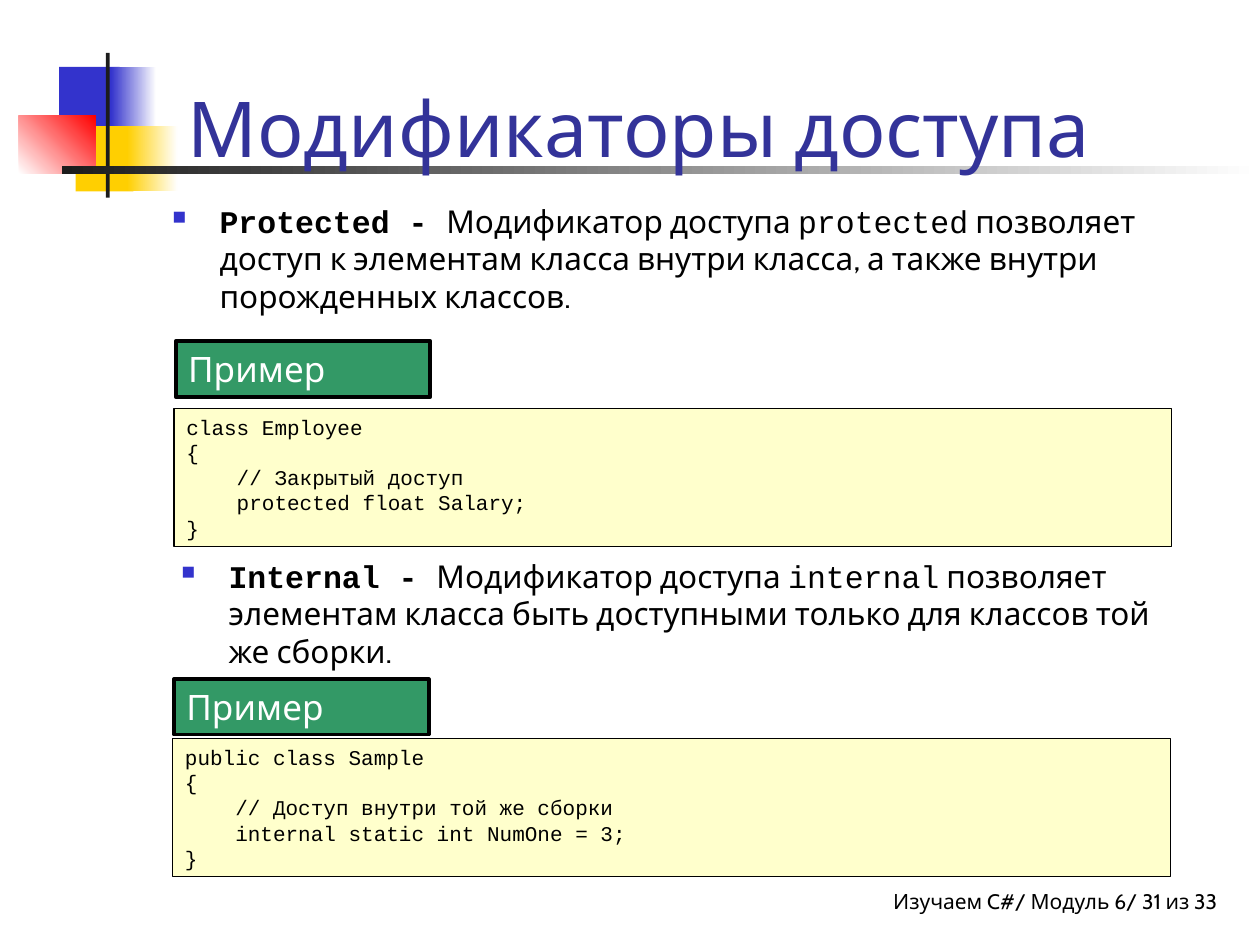
from dataclasses import dataclass

import lxml.etree
import pptx
import pptx.dml.color
import pptx.enum.shapes
import pptx.enum.text
import pptx.oxml.ns
import pptx.util

Pt = pptx.util.Pt
ALIGN = pptx.enum.text.PP_ALIGN
ANCHOR = pptx.enum.text.MSO_ANCHOR


@dataclass(frozen=True)
class Theme:
    blue: str = "3333CC"
    yellow: str = "FFCF01"
    red: str = "FF0000"
    dark: str = "1C1C1C"
    white: str = "FFFFFF"
    black: str = "000000"
    title: str = "333399"
    label_fill: str = "339966"
    code_fill: str = "FFFFCC"
    sans: str = "Cabin"
    mono: str = "Courier New"
    title_size: float = 44
    label_size: float = 20
    body_size: float = 18
    small_size: float = 12


THEME = Theme()


def rgb(color):
    return pptx.dml.color.RGBColor.from_string(color)


def style_font(font, size, color, name=THEME.sans, bold=False):
    values = {"size": Pt(size), "name": name, "bold": bold}
    for attribute, value in values.items():
        setattr(font, attribute, value)
    font.color.rgb = rgb(color)


def style_frame(frame, anchor=ANCHOR.TOP, right=7.2):
    values = {
        "word_wrap": True,
        "vertical_anchor": anchor,
        "margin_left": Pt(7.2),
        "margin_right": Pt(right),
        "margin_top": Pt(3.6),
        "margin_bottom": Pt(3.6),
    }
    for attribute, value in values.items():
        setattr(frame, attribute, value)


def write_lines(frame, lines, align=ALIGN.LEFT, **font):
    for index, line in enumerate(lines):
        paragraph = frame.paragraphs[0] if index == 0 else frame.add_paragraph()
        paragraph.alignment = align
        run = paragraph.add_run()
        run.text = line
        style_font(run.font, **font)


def add_rectangle(slide, box, colors, angle=0):
    """Draw a borderless rectangle: one colour is solid, two make a gradient."""
    shape = slide.shapes.add_shape(
        pptx.enum.shapes.MSO_SHAPE.RECTANGLE, *map(Pt, box))
    shape.shadow.inherit = False
    shape.line.fill.background()
    if len(colors) == 1:
        shape.fill.solid()
        shape.fill.fore_color.rgb = rgb(colors[0])
    else:
        shape.fill.gradient()
        shape.fill.gradient_angle = angle
        for stop, color in zip(shape.fill.gradient_stops, colors):
            stop.color.rgb = rgb(color)
    return shape


def add_panel(slide, box, fill, line_width, lines, **font):
    """Draw a black-bordered rectangle holding lines of text."""
    shape = add_rectangle(slide, box, [fill])
    shape.line.color.rgb = rgb(THEME.black)
    shape.line.width = Pt(line_width)
    style_frame(shape.text_frame)
    write_lines(shape.text_frame, lines, **font)


def add_text_frame(slide, box, **frame_style):
    frame = slide.shapes.add_textbox(*map(Pt, box)).text_frame
    style_frame(frame, **frame_style)
    return frame


def add_bullet(paragraph, indent=27):
    properties = paragraph._p.get_or_add_pPr()
    properties.set("marL", str(Pt(indent)))
    properties.set("indent", str(-Pt(indent)))
    qn = pptx.oxml.ns.qn
    color = lxml.etree.SubElement(properties, qn("a:buClr"))
    lxml.etree.SubElement(color, qn("a:srgbClr"), val=THEME.blue)
    lxml.etree.SubElement(properties, qn("a:buSzPct"), val="60000")
    lxml.etree.SubElement(properties, qn("a:buChar"), char="■")


def add_definition(slide, box, term, keyword, explanation):
    paragraph = add_text_frame(slide, box).paragraphs[0]
    add_bullet(paragraph)
    pieces = [
        (f"{term} - ", THEME.mono, True),
        ("Модификатор доступа ", THEME.sans, False),
        (keyword, THEME.mono, False),
        (explanation, THEME.sans, False),
    ]
    for text, name, bold in pieces:
        run = paragraph.add_run()
        run.text = text
        style_font(run.font, THEME.body_size, THEME.black, name, bold)


def add_example(slide, label_position, code_position, code):
    add_panel(slide, (*label_position, 145.5, 31.7), THEME.label_fill, 2.25,
              ["Пример"], size=THEME.label_size, color=THEME.white)
    add_panel(slide, (*code_position, 570.2, 79.2), THEME.code_fill, 0.75, code,
              size=THEME.small_size, color=THEME.black, name=THEME.mono)


def add_decoration(slide):
    parts = [
        ((33.8, 38.2, 34.6, 37.4), [THEME.blue], 0),
        ((63.4, 38.2, 25.9, 37.4), [THEME.blue, THEME.white], 0),
        ((43.2, 72, 33.1, 37.4), [THEME.yellow], 0),
        ((72.7, 72, 28.8, 37.4), [THEME.yellow, THEME.white], 0),
        ((10.8, 66.2, 43.9, 33.1), [THEME.white, THEME.red], 45),
        ((60.5, 30.2, 2.2, 82.8), [THEME.dark], 0),
        ((35.3, 95, 684.7, 4.3), [THEME.dark, THEME.white], 0),
    ]
    for box, colors, angle in parts:
        add_rectangle(slide, box, colors, angle)


def main():
    presentation = pptx.Presentation()
    presentation.slide_width = Pt(720)
    presentation.slide_height = Pt(540)
    slide = presentation.slides.add_slide(presentation.slide_layouts[6])

    footer = add_text_frame(slide, (329.8, 504, 365.8, 23.8), right=0)
    write_lines(footer, ["Изучаем C#/ Модуль 6/ 31 из 33"], ALIGN.RIGHT,
                size=THEME.small_size, color=THEME.black)
    add_decoration(slide)
    title = add_text_frame(slide, (100.1, 12.2, 613.4, 90), anchor=ANCHOR.BOTTOM)
    write_lines(title, ["Модификаторы доступа"],
                size=THEME.title_size, color=THEME.title)

    add_definition(
        slide, (91.4, 111.6, 601.9, 72.7), "Protected", "protected",
        " позволяет доступ к элементам класса внутри класса, "
        "а также внутри порожденных классов.")
    add_example(slide, (100.4, 195.1), (99.4, 233.3), [
        "class Employee",
        "{",
        "    // Закрытый доступ",
        "    protected float Salary;",
        "}",
    ])
    add_definition(
        slide, (96.5, 314.6, 577.4, 96.5), "Internal", "internal",
        " позволяет элементам класса быть доступными только "
        "для классов той же сборки.")
    add_example(slide, (99.4, 388.1), (98.6, 421.9), [
        "public class Sample",
        "{",
        "    // Доступ внутри той же сборки",
        "    internal static int NumOne = 3;",
        "}",
    ])
    presentation.save("out.pptx")


if __name__ == "__main__":
    main()
